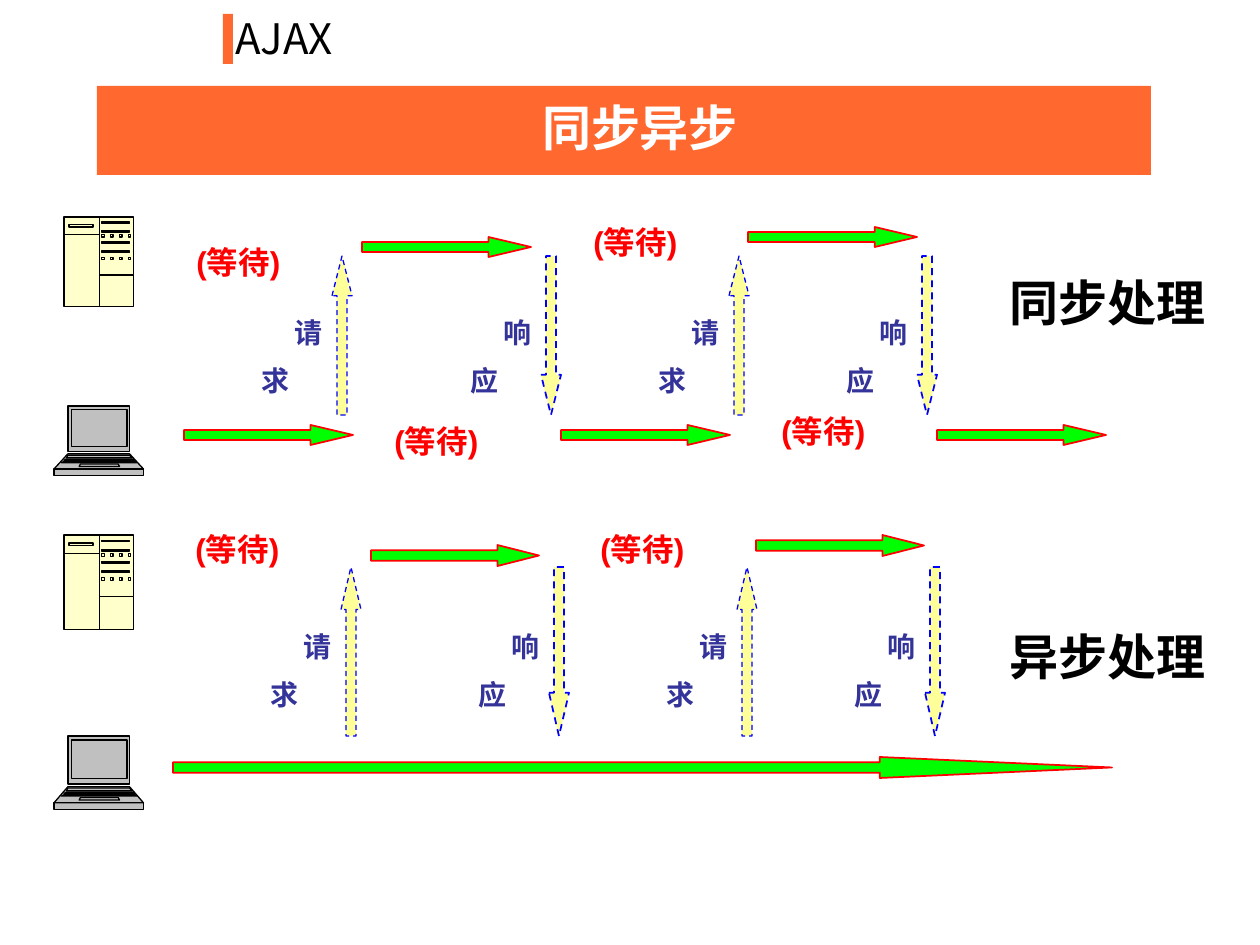
from pptx import Presentation
from pptx.dml.color import RGBColor
from pptx.enum.dml import MSO_LINE
from pptx.enum.shapes import MSO_SHAPE
from pptx.enum.text import PP_ALIGN
from pptx.util import Emu, Pt

ORANGE = RGBColor(0xFF, 0x68, 0x2F)
GREEN = RGBColor(0x00, 0xFF, 0x00)
RED = RGBColor(0xFF, 0x00, 0x00)
YELLOW = RGBColor(0xFF, 0xFF, 0x99)
CREAM = RGBColor(0xFF, 0xFF, 0xCC)
BLUE = RGBColor(0x00, 0x00, 0xFF)
NAVY = RGBColor(0x33, 0x33, 0x99)
GRAY = RGBColor(0xC0, 0xC0, 0xC0)
BLACK = RGBColor(0x00, 0x00, 0x00)
WHITE = RGBColor(0xFF, 0xFF, 0xFF)

WAIT = "(等待)"
CALLS = ["请求", "响应", "请求", "响应"]
HANG = 48  # hanging indent of the labels

# Work arrows: left, top, width, height, head ratio
ROWS = [
    dict(title="同步处理", title_top=266, server=217, laptop=406, stretch=1,
         work=[(184, 425, 169, 20, 2.12), (362, 237, 169, 20, 2.12),
               (561, 425, 169, 20, 2.12), (748, 227, 169, 20, 2.11),
               (937, 425, 169, 20, 2.12)],
         waits=[(184, 237), (382, 416), (769, 406), (581, 217)],
         calls=[332, 541, 729, 917], top=256, height=159,
         heads=(1.99, 2.01), label=(306, 69)),
    dict(title="异步处理", title_top=620, server=535, laptop=736, stretch=1.06,
         work=[(173, 757, 939, 21, 11.06), (371, 545, 168, 21, 1.98),
               (756, 535, 168, 21, 1.98)],
         waits=[(588, 524), (183, 524)],
         calls=[341, 549, 737, 925], top=567, height=169,
         heads=(2.13, 2.16), label=(620, 74)),
]


def px(n):
    return Emu(round(n * 914400 / 126))


def slab(l1, r1, top, l2, r2, foot):
    """Closed outline with a flat top and a flat foot."""
    return [(l1, top), (r1, top), (r2, foot), (l2, foot), (l1, top)]


def rect(left, top, wide, high):
    return slab(left, left + wide, top, left, left + wide, top + high)


# Icon outlines in hundredths of an inch, one list per layer
LAPTOP = [
    [rect(11, 0, 49, 36), slab(11, 60, 38, 0, 71, 50), rect(0, 50, 71, 5)],
    [rect(14, 3, 44, 29), slab(11, 60, 39, 10, 62, 41),
     slab(10, 62, 42, 8, 64, 43), slab(8, 64, 44, 6, 66, 45),
     slab(21, 51, 46, 20, 52, 48)],
]
SERVER = [
    [rect(0, 0, 55, 71)],
    [rect(4, 6, 19, 2), [(0, 14), (28, 14), (28, 46), (55, 46)],
     [(28, 0), (28, 71)]]
    + [rect(30, y, 22, 1) for y in (4, 11, 20, 27)]
    + [rect(x, y, 2, 2) for y in (14, 32) for x in (30, 37, 44, 51)],
]

deck = Presentation()
deck.slide_width, deck.slide_height = px(1260), px(945)
slide = deck.slides.add_slide(deck.slide_layouts[6])
shapes = slide.shapes


def paint(shape, fill, line=None, width=1.0, dash=False):
    shape.shadow.inherit = False
    shape.fill.solid()
    shape.fill.fore_color.rgb = fill
    if line is None:
        shape.line.fill.background()
        return
    shape.line.color.rgb = line
    shape.line.width = Pt(width)
    if dash:
        shape.line.dash_style = MSO_LINE.DASH


def block(kind, left, top, wide, high):
    return shapes.add_shape(kind, px(left), px(top), px(wide), px(high))


def arrow(kind, box, head, *look):
    shape = block(kind, *box)
    shape.adjustments[0] = 0.5
    shape.adjustments[1] = head
    paint(shape, *look)


def label(text, left, top, wide, high, size, color, align=PP_ALIGN.JUSTIFY,
          bold=True, font="Arial", hang=0, upright=False):
    frame = shapes.add_textbox(px(left), px(top), px(wide), px(high)).text_frame
    frame.word_wrap = True
    if upright:
        frame.margin_left = frame.margin_right = Pt(3.6)
        frame.margin_top = frame.margin_bottom = Pt(7.2)
        frame._txBody.bodyPr.set("vert", "eaVert")
    para = frame.paragraphs[0]
    para.alignment = align
    if hang:
        props = para._p.get_or_add_pPr()
        props.set("marL", str(px(hang)))
        props.set("indent", str(-px(hang)))
    run = para.add_run()
    run.text = text
    run.font.name = font
    run.font.size = Pt(size)
    run.font.bold = bold
    run.font.color.rgb = color


def icon(layers, left, top, stretch, fill):
    group = shapes.add_group_shape()
    for layer in layers:
        pen = group.shapes.build_freeform(*layer[0][0],
                                          scale=(9144.0, 9144.0 * stretch))
        for i, points in enumerate(layer):
            if i:
                pen.move_to(*points[0])
            pen.add_line_segments(points[1:], close=points[0] == points[-1])
        paint(pen.convert_to_shape(px(left), px(top)), fill, BLACK, 0.75)


# Heading
paint(block(MSO_SHAPE.RECTANGLE, 223, 14, 10, 50), ORANGE)
paint(block(MSO_SHAPE.RECTANGLE, 97, 86, 1054, 89), ORANGE)
label("AJAX", 223, 6, 325, 63, 24, BLACK, PP_ALIGN.LEFT, False,
      "Noto Sans CJK SC")
label("同步异步", 164, 91, 952, 72, 28, WHITE, PP_ALIGN.CENTER)

for row in ROWS:
    # Machines
    icon(LAPTOP, 54, row["laptop"], row["stretch"], GRAY)
    icon(SERVER, 64, row["server"], row["stretch"], CREAM)

    # Work and waiting
    for *box, head in row["work"]:
        arrow(MSO_SHAPE.RIGHT_ARROW, box, head, GREEN, RED)
    for left, top in row["waits"]:
        label(WAIT, left, top, 128, 50, 18, RED, hang=HANG)

    # Requests go up, responses come down
    up, down = row["heads"]
    top, high = row["label"]
    for text, left in zip(CALLS, row["calls"]):
        box = (left, row["top"], 20, row["height"])
        if text == "请求":
            arrow(MSO_SHAPE.UP_ARROW, box, up, YELLOW, BLUE, 0.75, True)
        else:
            arrow(MSO_SHAPE.DOWN_ARROW, box, down, YELLOW, BLUE, 1, True)
        label(text, left - 59, top, 58, high, 16, NAVY, hang=HANG, upright=True)

    label(row["title"], 997, row["title_top"], 228, 72, 28, BLACK, hang=HANG)

deck.save("out.pptx")
